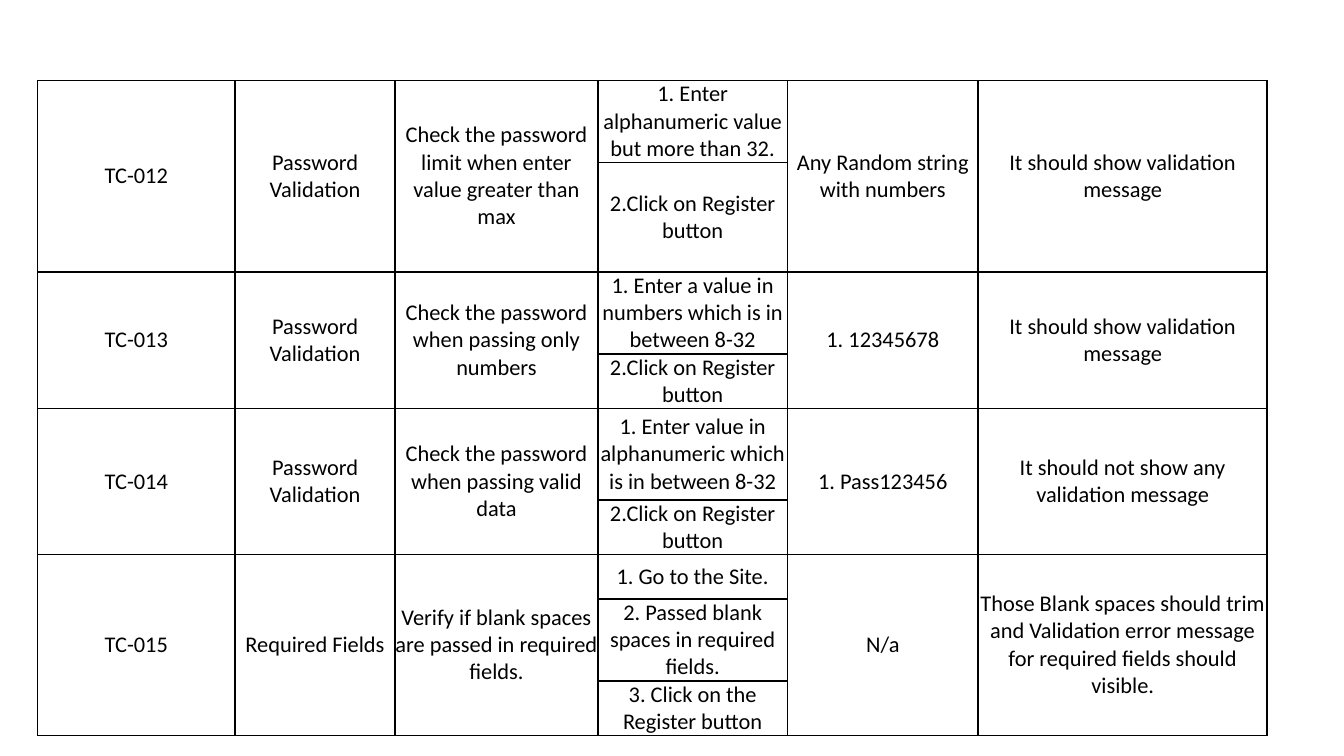
"""Build a slide with a table of password and field test cases."""
from lxml import etree
from pptx import Presentation
from pptx import util as u
from pptx.dml.color import RGBColor
from pptx.enum import text
from pptx.oxml import ns

COLORS = {"ink": "000000"}
PAGE_WIDTH = u.Inches(10)
PAGE_HEIGHT = PAGE_WIDTH * 9 // 16
COLUMN_WIDTHS = [1.47, 1.19, 1.51, 1.41, 1.42, 2.15]
ROW_HEIGHTS = [0.54, 0.27, 0.54, 0.27, 0.68, 0.27, 0.33, 0.41, 0.27]
STEP_COLUMN = 3
REGISTER = "2.Click on Register button"
CELL_FORMAT = {
    "margin_left": 0,
    "margin_right": 0,
    "margin_top": 0,
    "margin_bottom": 0,
    "vertical_anchor": text.MSO_ANCHOR.MIDDLE,
}
FONT_FORMAT = {"name": "Calibri", "size": u.Pt(12), "bold": False}
TEST_CASES = [
    ("TC-012", "Password Validation",
     "Check the password limit when enter value greater than max",
     ["1. Enter alphanumeric value but more than 32.", REGISTER],
     "Any Random string with numbers", "It should show validation message"),
    ("TC-013", "Password Validation",
     "Check the password when passing only numbers",
     ["1. Enter a value in numbers which is in between 8-32", REGISTER],
     "1. 12345678", "It should show validation message"),
    ("TC-014", "Password Validation",
     "Check the password when passing valid data",
     ["1. Enter value in alphanumeric which is in between 8-32", REGISTER],
     "1. Pass123456", "It should not show any validation message"),
    ("TC-015", "Required Fields",
     "Verify if blank spaces are passed in required fields.",
     ["1. Go to the Site.", "2. Passed blank spaces in required fields.",
      "3. Click on the Register button"],
     "N/a", "Those Blank spaces should trim and Validation error message "
     "for required fields should visible."),
]


def apply_format(target, values):
    """Set each named attribute on the target."""
    for name, value in values.items():
        setattr(target, name, value)


def add_borders(cell):
    """Draw a thin line on every side of a cell."""
    properties = cell._tc.get_or_add_tcPr()
    for side in ("a:lnL", "a:lnR", "a:lnT", "a:lnB"):
        line = etree.SubElement(properties, ns.qn(side), w=str(u.Pt(1)))
        fill = etree.SubElement(line, ns.qn("a:solidFill"))
        etree.SubElement(fill, ns.qn("a:srgbClr"), val=COLORS["ink"])


def style_cell(cell):
    """Give a cell its borders, empty fill, margins and font."""
    add_borders(cell)
    cell.fill.background()
    apply_format(cell, CELL_FORMAT)
    para = cell.text_frame.paragraphs[0]
    para.alignment = text.PP_ALIGN.CENTER
    for holder in (para, *para.runs):
        apply_format(holder.font, FONT_FORMAT)
        holder.font.color.rgb = RGBColor.from_string(COLORS["ink"])


def fill_case(table, top, case):
    """Write one test case from row top and return the next free row."""
    steps = case[STEP_COLUMN]
    for column, content in enumerate(case):
        if column == STEP_COLUMN:
            for offset, step in enumerate(steps):
                table.cell(top + offset, column).text = step
        else:
            cell = table.cell(top, column)
            cell.merge(table.cell(top + len(steps) - 1, column))
            cell.text = content
    return top + len(steps)


def add_case_table(page):
    """Add the table that holds all test cases."""
    frame = page.shapes.add_table(
        len(ROW_HEIGHTS), len(COLUMN_WIDTHS),
        u.Inches(0.28), u.Inches(0.6), u.Inches(9.15), u.Inches(4.43))
    table = frame.table
    apply_format(table, {"first_row": False, "horz_banding": False})
    for column, width in zip(table.columns, COLUMN_WIDTHS):
        column.width = u.Inches(width)
    for row, height in zip(table.rows, ROW_HEIGHTS):
        row.height = u.Inches(height)
    frame.height = u.Inches(4.43)
    top = 0
    for case in TEST_CASES:
        top = fill_case(table, top, case)
    for cell in table.iter_cells():
        style_cell(cell)


def main():
    """Build and save the deck."""
    deck = Presentation()
    apply_format(deck, {"slide_width": PAGE_WIDTH,
                        "slide_height": PAGE_HEIGHT})
    page = deck.slides.add_slide(deck.slide_layouts[6])
    add_case_table(page)
    deck.save("out.pptx")


if __name__ == "__main__":
    main()
